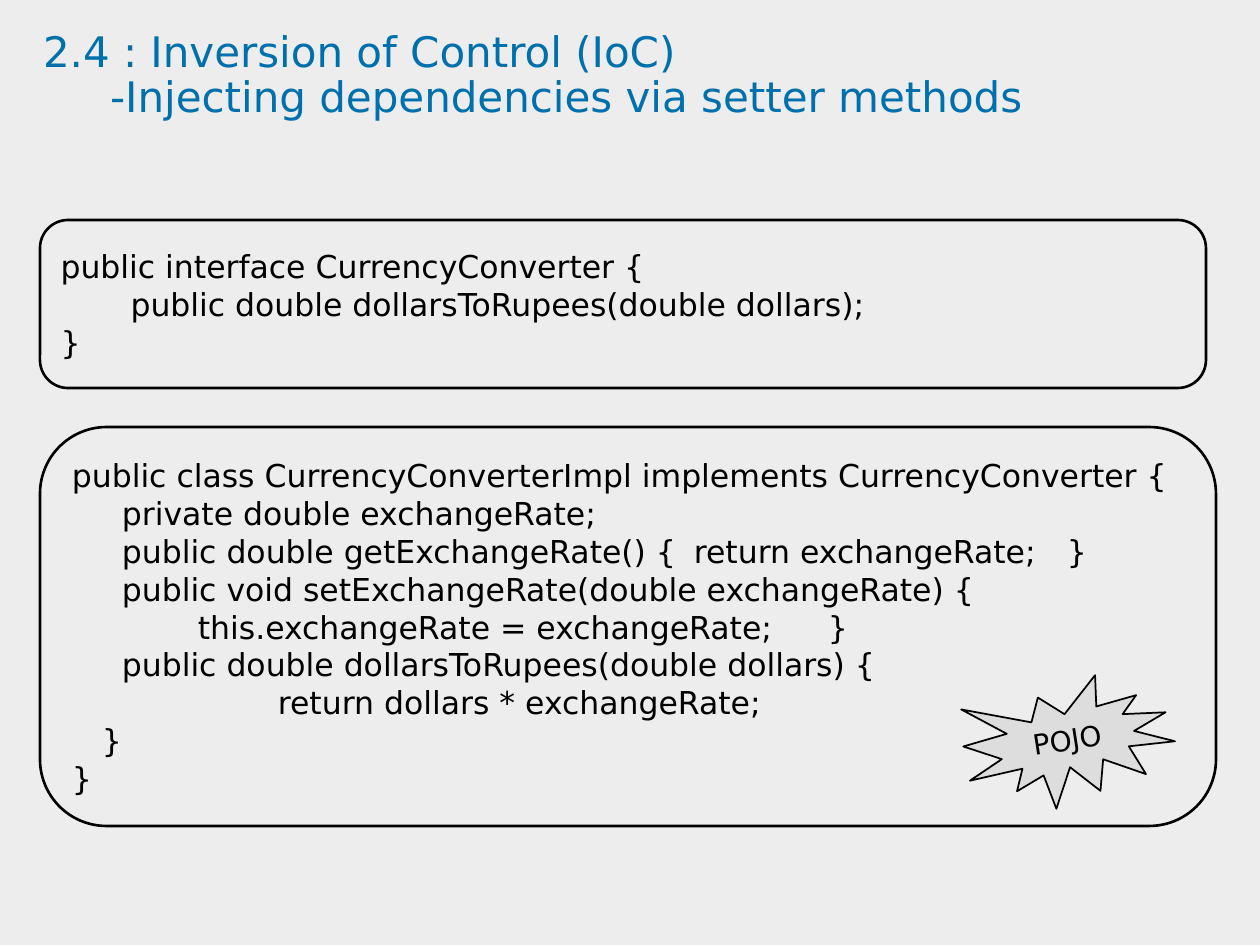
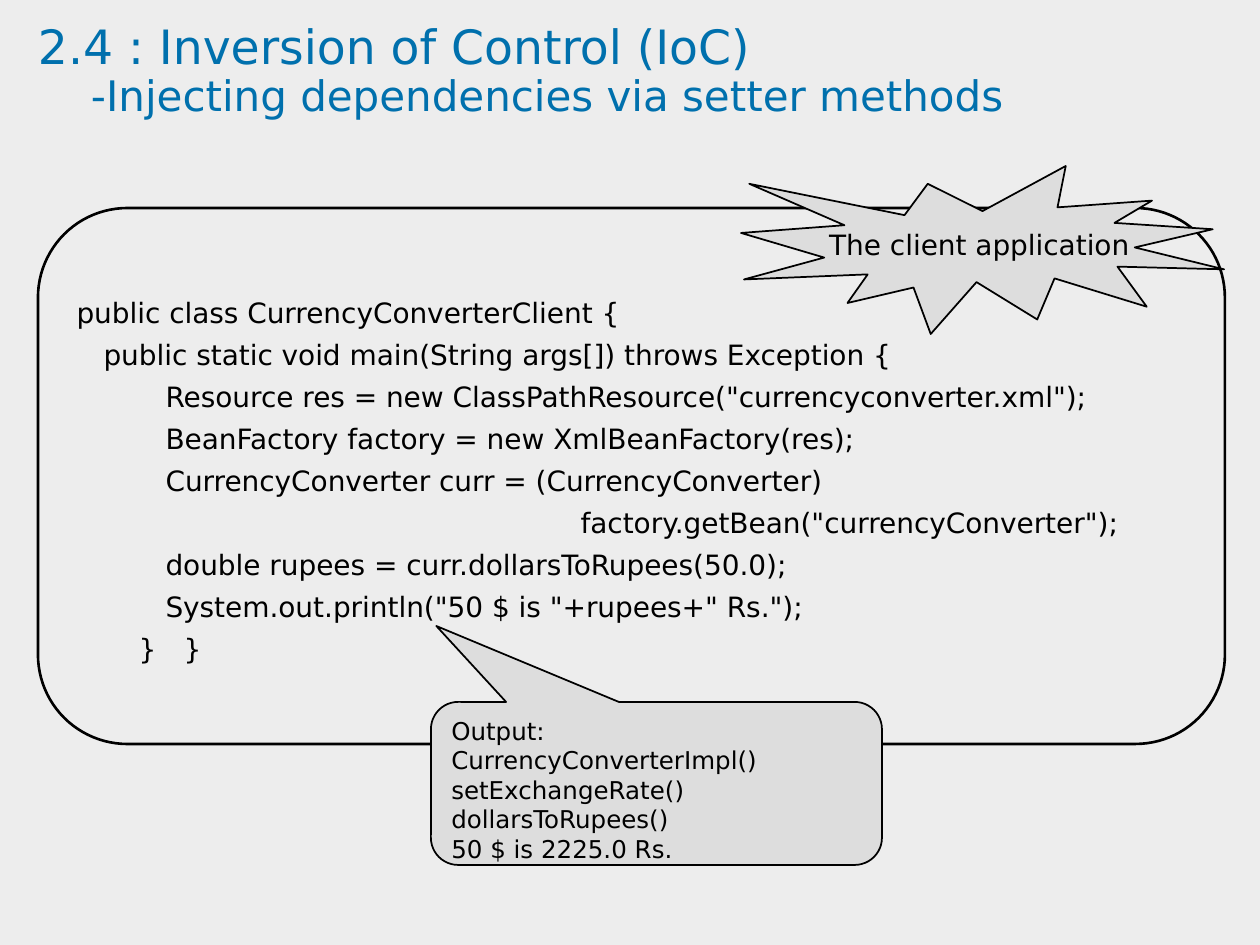
from dataclasses import dataclass

from lxml.etree import SubElement
from pptx import Presentation
from pptx.dml.color import RGBColor
from pptx.enum.shapes import MSO_SHAPE
from pptx.enum.text import MSO_ANCHOR, MSO_AUTO_SIZE, PP_ALIGN
from pptx.oxml.ns import qn
from pptx.util import Pt

EMU_PER_PX = 914400 / 126


@dataclass(frozen=True)
class Theme:
    """Colours, font and type sizes shared by the slides."""
    background: str = "EDEDED"
    accent_fill: str = "DDDDDD"
    ink: str = "000000"
    title_color: str = "0070AD"
    font: str = "DejaVu Sans"
    title_large: int = 27
    title: int = 24
    code: int = 18
    label: int = 16
    output: int = 14
    panel_line: float = 1.5
    accent_line: float = 1
    corner: float = 0.167


THEME = Theme()
TITLE = "2.4 : Inversion of Control (IoC)"
SUBTITLE = "-Injecting dependencies via setter methods"

INTERFACE_CODE = [
    [(0, "public interface CurrencyConverter {")],
    [(70, "public double dollarsToRupees(double dollars);")],
    [(0, "}")],
]
CLASS_CODE = [
    [(0, "public class CurrencyConverterImpl implements CurrencyConverter {")],
    [(50, "private double exchangeRate;")],
    [(50, "public double getExchangeRate() {"), (622, "return exchangeRate;"), (995, "}")],
    [(50, "public void setExchangeRate(double exchangeRate) {")],
    [(126, "this.exchangeRate = exchangeRate;"), (756, "}")],
    [(50, "public double dollarsToRupees(double dollars) {")],
    [(206, "return dollars * exchangeRate;")],
    [(30, "}")],
    [(0, "}")],
]
CLIENT_CODE = [
    [(0, "public class CurrencyConverterClient {")],
    [(27, "public static void main(String args[]) throws Exception {")],
    [(89, 'Resource res = new ClassPathResource("currencyconverter.xml");')],
    [(89, "BeanFactory factory = new XmlBeanFactory(res);")],
    [(89, "CurrencyConverter curr = (CurrencyConverter)")],
    [(504, 'factory.getBean("currencyConverter");')],
    [(89, "double rupees = curr.dollarsToRupees(50.0);")],
    [(89, 'System.out.println("50 $ is "+rupees+" Rs.");')],
    [(62, "}"), (107, "}")],
]
OUTPUT_LINES = [
    [(0, line)]
    for line in (
        "Output:",
        "CurrencyConverterImpl()",
        "setExchangeRate()",
        "dollarsToRupees()",
        "50 $ is 2225.0 Rs.",
    )
]


def px(length):
    """Turn pixels into EMU."""
    return round(length * EMU_PER_PX)


def write_text(frame, lines, sizes, color=THEME.ink, align=PP_ALIGN.LEFT,
               anchor=MSO_ANCHOR.MIDDLE, spacing=1.0, wrap=True):
    """Write lines of (tab position, text) pieces, one paragraph per line."""
    frame.word_wrap = wrap
    frame.auto_size = MSO_AUTO_SIZE.NONE
    frame.vertical_anchor = anchor
    for index, (pieces, size) in enumerate(zip(lines, sizes)):
        paragraph = frame.add_paragraph() if index else frame.paragraphs[0]
        paragraph.alignment = align
        paragraph.line_spacing = spacing
        paragraph.space_before = paragraph.space_after = Pt(0)
        run = paragraph.add_run()
        run.text = "".join("\t" * (start > 0) + text for start, text in pieces)
        run.font.name = THEME.font
        run.font.size = Pt(size)
        run.font.color.rgb = RGBColor.from_string(color)
        stops = [start for start, _ in pieces if start]
        if stops:
            tab_list = SubElement(paragraph._p.get_or_add_pPr(), qn("a:tabLst"))
            for stop in stops:
                SubElement(tab_list, qn("a:tab"), pos=str(px(stop)), algn="l")


def add_outlined(slide, kind, box, line_width, fill=None):
    """Add a preset shape with a black outline and an optional fill."""
    shape = slide.shapes.add_shape(kind, *map(px, box))
    shape.shadow.inherit = False
    shape.line.color.rgb = RGBColor.from_string(THEME.ink)
    shape.line.width = Pt(line_width)
    if fill:
        shape.fill.solid()
        shape.fill.fore_color.rgb = RGBColor.from_string(fill)
    else:
        shape.fill.background()
    return shape


def add_code_panel(slide, box, lines, size, spacing=1.0):
    """Add a rounded panel of code."""
    panel = add_outlined(slide, MSO_SHAPE.ROUNDED_RECTANGLE, box, THEME.panel_line)
    panel.adjustments[0] = THEME.corner
    write_text(panel.text_frame, lines, [size] * len(lines), spacing=spacing)


def add_burst(slide, box, label, rotation=0):
    """Add a labelled starburst."""
    burst = add_outlined(slide, MSO_SHAPE.EXPLOSION1, box,
                         THEME.accent_line, THEME.accent_fill)
    burst.rotation = rotation
    write_text(burst.text_frame, [[(0, label)]], [THEME.label],
               align=PP_ALIGN.CENTER, wrap=False)


def add_output_callout(slide, box, lines):
    """Add the callout that shows the program output."""
    callout = add_outlined(slide, MSO_SHAPE.ROUNDED_RECTANGULAR_CALLOUT, box,
                           THEME.accent_line, THEME.accent_fill)
    for index, value in enumerate((-0.488, -0.966, THEME.corner)):
        callout.adjustments[index] = value
    write_text(callout.text_frame, lines, [THEME.output] * len(lines),
               anchor=MSO_ANCHOR.TOP)


def add_titled_slide(presentation, box, indent, first_size):
    """Add a slide with the shared two-line title."""
    slide = presentation.slides.add_slide(presentation.slide_layouts[5])
    title = slide.shapes.title
    title.left, title.top, title.width, title.height = map(px, box)
    frame = title.text_frame
    frame.margin_left = frame.margin_right = frame.margin_top = frame.margin_bottom = 0
    write_text(frame, [[(0, TITLE)], [(indent, SUBTITLE)]],
               [first_size, THEME.title], color=THEME.title_color,
               anchor=MSO_ANCHOR.TOP, spacing=0.9)
    return slide


def build_bean_slide(presentation):
    """Show the interface and the class that implements it."""
    slide = add_titled_slide(presentation, (43, 31, 1145, 123), 67, THEME.title)
    add_code_panel(slide, (40, 427, 1176, 399), CLASS_CODE, THEME.code)
    add_code_panel(slide, (40, 220, 1166, 168), INTERFACE_CODE, THEME.code)
    add_burst(slide, (964, 680, 210, 126), "POJO", rotation=351.2)


def build_client_slide(presentation):
    """Show the client program and its output."""
    slide = add_titled_slide(presentation, (38, 24, 1145, 108), 53, THEME.title_large)
    add_code_panel(slide, (38, 208, 1187, 536), CLIENT_CODE, THEME.label, spacing=1.25)
    add_output_callout(slide, (431, 702, 451, 163), OUTPUT_LINES)
    add_burst(slide, (741, 166, 483, 168), "The client application")


def main():
    """Build and save the presentation."""
    presentation = Presentation()
    presentation.slide_width, presentation.slide_height = px(1260), px(945)
    background = presentation.slide_master.background.fill
    background.solid()
    background.fore_color.rgb = RGBColor.from_string(THEME.background)
    build_bean_slide(presentation)
    build_client_slide(presentation)
    presentation.save("out.pptx")


if __name__ == "__main__":
    main()
